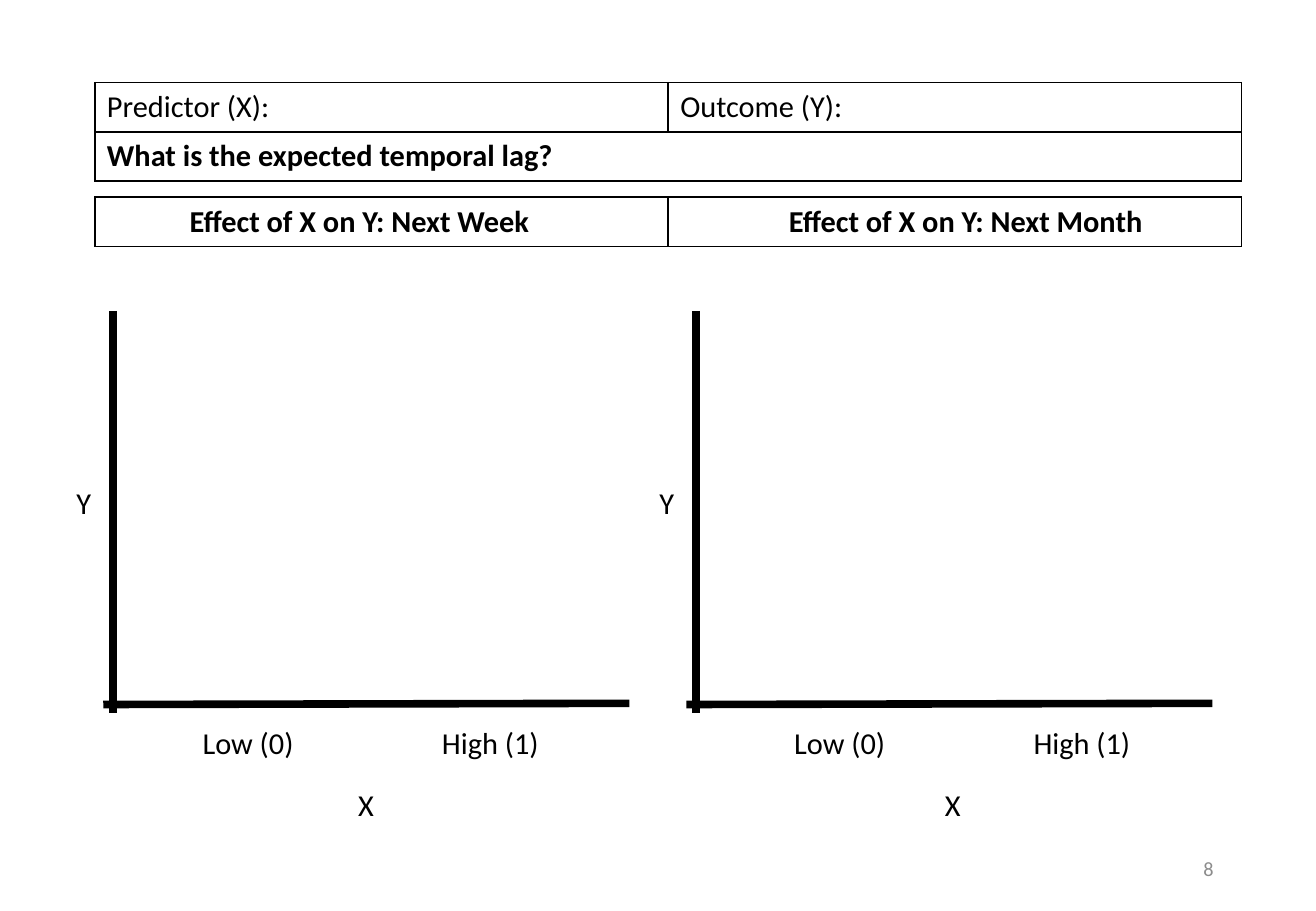
from lxml.etree import SubElement
from pptx import Presentation
from pptx.dml.color import RGBColor
from pptx.enum.shapes import MSO_CONNECTOR as Connector
from pptx.enum.text import MSO_ANCHOR as Anchor, MSO_AUTO_SIZE as AutoSize, PP_ALIGN as Align
from pptx.oxml import parse_xml
from pptx.oxml.ns import nsdecls, qn
from pptx.util import Pt

FONT = "Calibri"
BLACK, GREY = "000000", "8C8C8C"
PAGE_NUMBER = "8"

QUESTIONS = [
    [("Predictor (X):", False, 7.2), ("Outcome (Y):", False, 7.2)],
    [("What is the expected temporal lag?", True, 7.2)],
]
EFFECTS = [[
    ("Effect of X on Y: Next Week", True, 56.2),
    ("Effect of X on Y: Next Month", True, 71.6),
]]
PANELS = [
    {"axis": 67, "Y": 38.2, "Low (0)": 113, "High (1)": 254.9, "X": 205.2},
    {"axis": 412.6, "Y": 383.8, "Low (0)": 463.7, "High (1)": 605.5, "X": 553},
]
LABEL_TOPS = {"Y": 283.7, "Low (0)": 425.5, "High (1)": 425.5, "X": 462.2}
LABEL_WIDTHS = {"Y": 23.4, "Low (0)": 69.1, "High (1)": 72.7, "X": 23.8}
TABLE_LEFT, COLUMN_WIDTH, ROW_HEIGHT = 56.2, 339.8, 29.2
AXIS_TOP, AXIS_BOTTOM, AXIS_LEFT_OVERHANG, AXIS_LENGTH = 184.3, 422.6, 5.8, 311.8
BASELINE_LEFT, BASELINE_RIGHT = 417.6, 416.9


def color(value):
    return RGBColor.from_string(value)


def add_run(paragraph, text, size=18, bold=False, ink=BLACK):
    run = paragraph.add_run()
    run.text = text
    run.font.name, run.font.size, run.font.bold = FONT, Pt(size), bold
    run.font.color.rgb = color(ink)


def add_borders(cell):
    properties = cell._tc.get_or_add_tcPr()
    for position, side in enumerate(("lnL", "lnR", "lnT", "lnB")):
        properties.insert(position, parse_xml(
            f'<a:{side} {nsdecls("a")} w="{Pt(1)}"><a:solidFill>'
            f'<a:srgbClr val="{BLACK}"/></a:solidFill></a:{side}>'))


def add_grid(slide, top, rows):
    table = slide.shapes.add_table(
        len(rows), 2, Pt(TABLE_LEFT), Pt(top),
        Pt(2 * COLUMN_WIDTH), Pt(ROW_HEIGHT * len(rows))).table
    table.first_row = table.horz_banding = False
    for row_index, entries in enumerate(rows):
        if len(entries) == 1:
            table.cell(row_index, 0).merge(table.cell(row_index, 1))
        for column in range(2):
            cell = table.cell(row_index, column)
            cell.fill.background()
            add_borders(cell)
        for column, (text, bold, indent) in enumerate(entries):
            cell = table.cell(row_index, column)
            cell.margin_left = Pt(indent)
            add_run(cell.text_frame.paragraphs[0], text, bold=bold)


def add_axis(slide, *ends):
    axis = slide.shapes.add_connector(Connector.STRAIGHT, *map(Pt, ends))
    axis.line.color.rgb = color(BLACK)
    axis.line.width = Pt(4.5)
    SubElement(axis._element.spPr, qn("a:effectLst"))


def add_label(slide, text, left, top, width):
    frame = slide.shapes.add_textbox(Pt(left), Pt(top), Pt(width), Pt(29.1)).text_frame
    frame.word_wrap = False
    frame.auto_size = AutoSize.SHAPE_TO_FIT_TEXT
    add_run(frame.paragraphs[0], text)


def add_page_number(slide):
    frame = slide.shapes.add_textbox(Pt(550.8), Pt(500.4), Pt(175.7), Pt(28.8)).text_frame
    frame.word_wrap = True
    frame.vertical_anchor = Anchor.MIDDLE
    frame.paragraphs[0].alignment = Align.RIGHT
    add_run(frame.paragraphs[0], PAGE_NUMBER, size=12, ink=GREY)


def main():
    deck = Presentation()
    deck.slide_width, deck.slide_height = Pt(780), Pt(540)
    slide = deck.slides.add_slide(deck.slide_layouts[6])
    add_page_number(slide)
    for panel in PANELS:
        axis = panel["axis"]
        start = axis - AXIS_LEFT_OVERHANG
        add_axis(slide, axis, AXIS_TOP, axis, AXIS_BOTTOM)
        add_axis(slide, start + AXIS_LENGTH, BASELINE_RIGHT, start, BASELINE_LEFT)
        for text, top in LABEL_TOPS.items():
            add_label(slide, text, panel[text], top, LABEL_WIDTHS[text])
    add_grid(slide, 116.9, EFFECTS)
    add_grid(slide, 49, QUESTIONS)
    deck.save("out.pptx")


if __name__ == "__main__":
    main()
